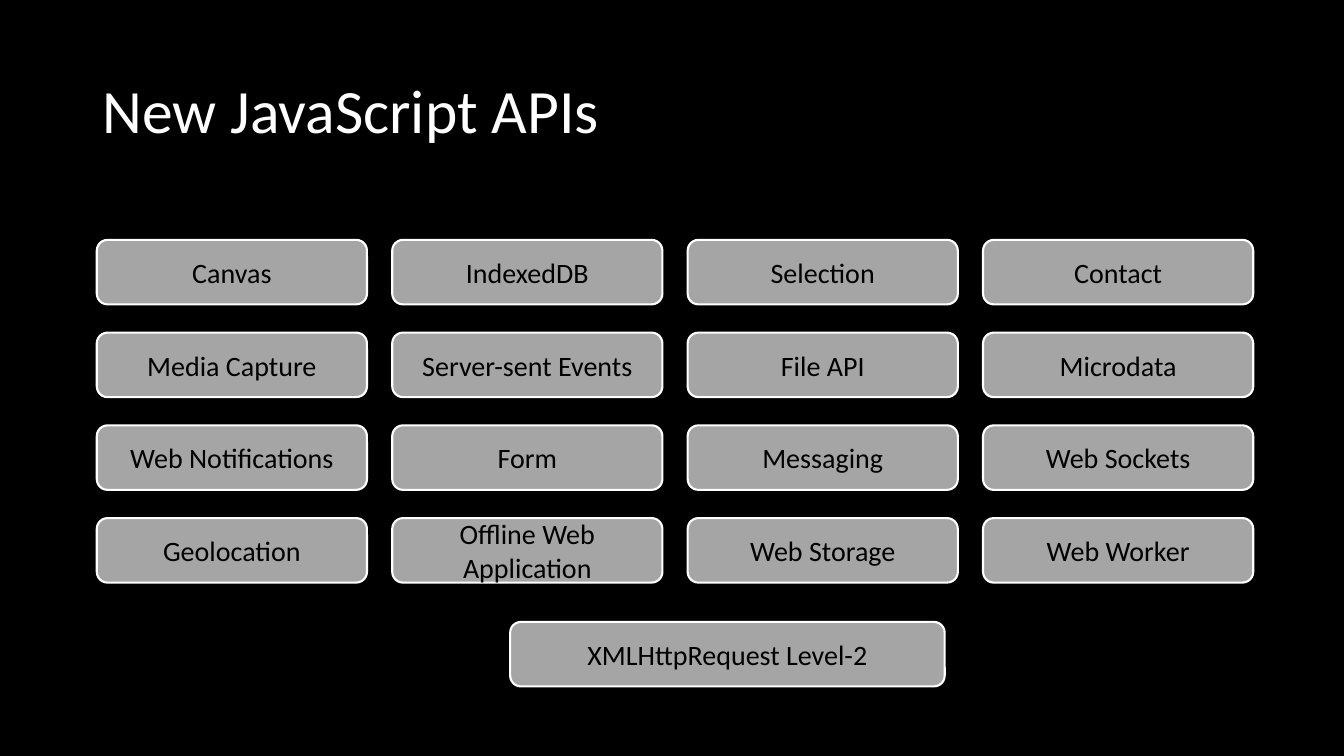
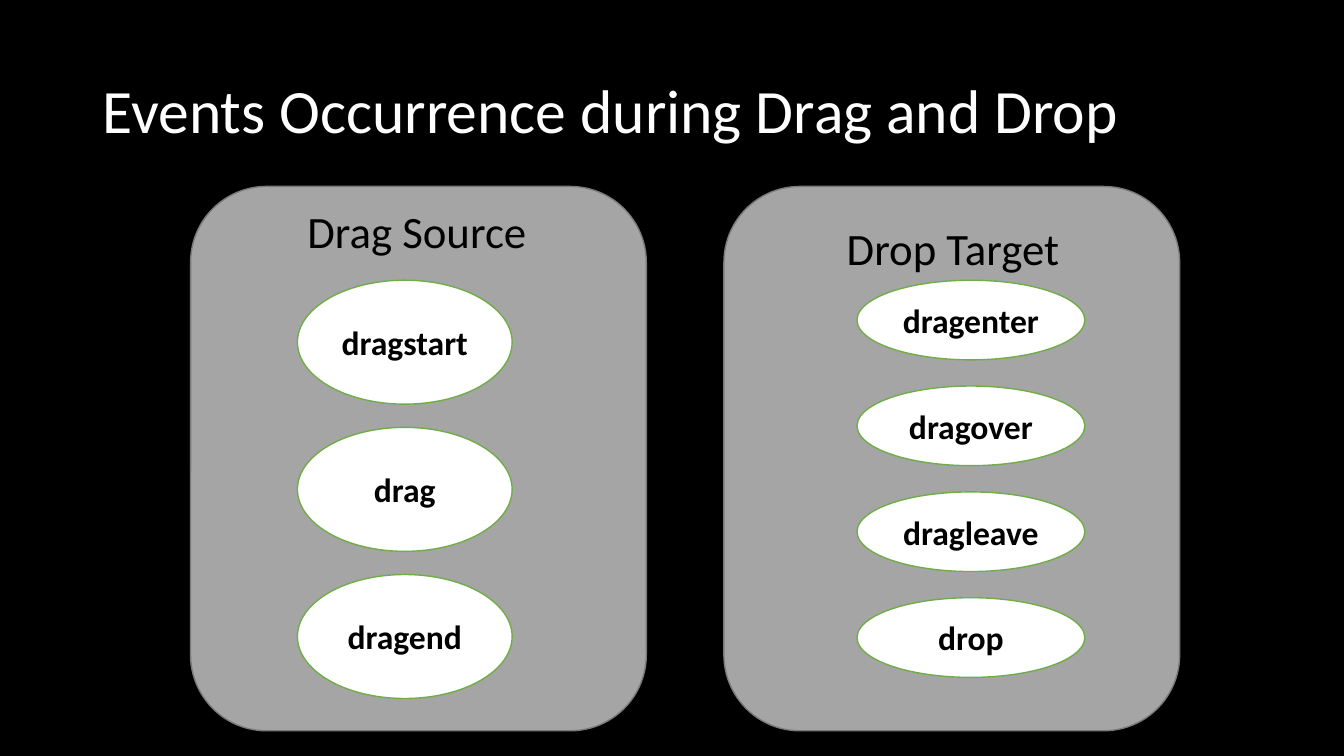
from pptx import Presentation
from pptx.dml.color import RGBColor
from pptx.enum.shapes import MSO_SHAPE as Shape
from pptx.enum.text import MSO_ANCHOR as Anchor, MSO_AUTO_SIZE as AutoSize, PP_ALIGN as Align
from pptx.util import Inches, Pt

BLACK = RGBColor(0x00, 0x00, 0x00)
WHITE = RGBColor(0xFF, 0xFF, 0xFF)
GRAY = RGBColor(0xA5, 0xA5, 0xA5)
DARK_GRAY = RGBColor(0x7A, 0x7A, 0x7A)
GREEN = RGBColor(0x70, 0xAD, 0x47)

API_ROWS = [
    ["Canvas", "IndexedDB", "Selection", "Contact"],
    ["Media Capture", "Server-sent Events", "File API", "Microdata"],
    ["Web Notifications", "Form", "Messaging", "Web Sockets"],
    ["Geolocation", "Offline Web Application", "Web Storage", "Web Worker"],
]


class Deck:
    """Holds the shared style and the slide being built."""

    font = "Calibri"

    def __init__(self):
        self.prs = Presentation()
        self.prs.slide_width = Inches(13.33)
        self.prs.slide_height = Inches(7.5)
        self.slide = None

    def add_slide(self, title):
        self.slide = self.prs.slides.add_slide(self.prs.slide_layouts[6])
        background = self.slide.background.fill
        background.solid()
        background.fore_color.rgb = BLACK
        frame = self.text_box(0.92, 0.4, 11.5, 1.45, title, 44, WHITE)
        frame.word_wrap = True
        frame.vertical_anchor = Anchor.MIDDLE
        frame.paragraphs[0].line_spacing = 0.9

    def set_text(self, frame, text, size, color, bold=False):
        frame.text = text
        for run in frame.paragraphs[0].runs:
            run.font.name = self.font
            run.font.size = Pt(size)
            run.font.bold = bold
            run.font.color.rgb = color

    def text_box(self, left, top, width, height, text, size, color):
        box = self.slide.shapes.add_textbox(
            Inches(left), Inches(top), Inches(width), Inches(height))
        self.set_text(box.text_frame, text, size, color)
        return box.text_frame

    def figure(self, preset, left, top, width, height, fill, line, weight):
        figure = self.slide.shapes.add_shape(
            preset, Inches(left), Inches(top), Inches(width), Inches(height))
        figure.shadow.inherit = False
        figure.fill.solid()
        figure.fill.fore_color.rgb = fill
        figure.line.color.rgb = line
        figure.line.width = Pt(weight)
        return figure

    def label(self, figure, text, size, bold=False):
        frame = figure.text_frame
        self.set_text(frame, text, size, BLACK, bold)
        frame.word_wrap = True
        frame.vertical_anchor = Anchor.MIDDLE
        frame.paragraphs[0].alignment = Align.CENTER

    def api_box(self, left, top, name, width=2.68):
        box = self.figure(Shape.ROUNDED_RECTANGLE, left, top, width, 0.64, GRAY, WHITE, 1.5)
        self.label(box, name, 20)

    def panel(self, left):
        self.figure(Shape.ROUNDED_RECTANGLE, left, 1.85, 4.52, 5.4, GRAY, DARK_GRAY, 1)

    def heading(self, left, top, width, text):
        frame = self.text_box(left, top, width, 0.64, text, 32, BLACK)
        frame.word_wrap = False
        frame.auto_size = AutoSize.SHAPE_TO_FIT_TEXT

    def events(self, left, width, height, pitch, names):
        for index, name in enumerate(names):
            oval = self.figure(Shape.OVAL, left, 2.78 + index * pitch, width, height,
                               WHITE, GREEN, 1)
            self.label(oval, name, 24, bold=True)


def build_apis(deck):
    deck.add_slide("New JavaScript APIs")
    for row, names in enumerate(API_ROWS):
        for column, name in enumerate(names):
            deck.api_box(0.96 + column * 2.93, 2.38 + row * 0.92, name)
    deck.api_box(5.06, 6.17, "XMLHttpRequest Level-2", width=4.31)


def build_drag_events(deck):
    deck.add_slide("Events Occurrence during Drag and Drop")
    for left in (1.89, 7.18):
        deck.panel(left)
    deck.heading(2.95, 1.97, 2.4, "Drag Source")
    deck.heading(8.3, 2.14, 2.33, "Drop Target")
    deck.events(2.95, 2.13, 1.23, 1.46, ["dragstart", "drag", "dragend"])
    deck.events(8.5, 2.26, 0.79, 1.05, ["dragenter", "dragover", "dragleave", "drop"])


def main():
    deck = Deck()
    build_apis(deck)
    build_drag_events(deck)
    deck.prs.save("out.pptx")


if __name__ == "__main__":
    main()
